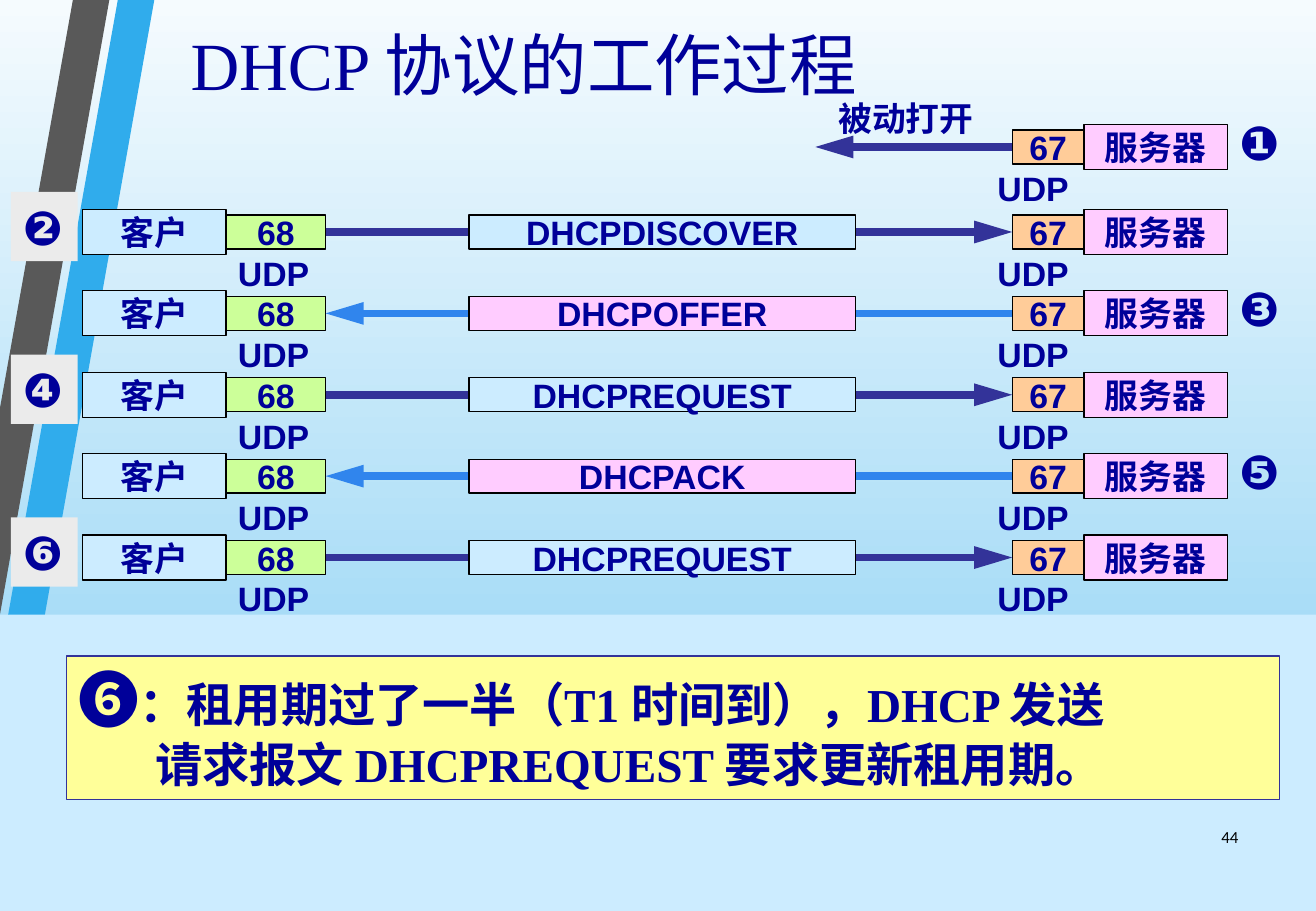
from lxml import etree
from pptx import Presentation
from pptx.dml.color import RGBColor
from pptx.enum.shapes import MSO_CONNECTOR, MSO_SHAPE
from pptx.enum.text import MSO_ANCHOR, MSO_AUTO_SIZE, PP_ALIGN
from pptx.oxml.ns import qn
from pptx.util import Inches, Pt

HUE = {
    "ink": "000099", "black": "000000", "navy": "333399", "blue": "3085ED",
    "sky": "CCECFF", "pink": "FFCCFF", "peach": "FFCC99", "lime": "CCFF99",
    "yellow": "FFFF99", "pale": "EBEBEB", "gray": "595959", "band": "30ACEC",
    "top": "F5FBFE", "low": "A2DAF6",
}
WIDE, HIGH = 10.83, 7.5
# Columns: left edge and width
COL = {
    "left": (0.09, 0.55), "client": (0.68, 1.18), "p68": (1.86, 0.82),
    "msg": (3.86, 3.18), "p67": (8.33, 0.59), "server": (8.92, 1.18),
    "right": (10.1, 0.55), "udp68": (1.86, 0.8), "udp67": (8.11, 0.8),
}
OPEN_ROW, FIRST_ROW, PITCH = 1.21, 1.91, 0.67
TALL, SLIM = 0.37, 0.28
STEPS = [
    ("❷", "DHCPDISCOVER"), ("❸", "DHCPOFFER"), ("❹", "DHCPREQUEST"),
    ("❺", "DHCPACK"), ("❻", "DHCPREQUEST"),
]
BANDS = [  # points in hundredths of an inch
    ("band", [(0, 544), (0, 575), (24, 579), (127, 0), (97, 0)]),
    ("gray", [(90, 0), (60, 0), (0, 336), (0, 506)]),
]


def rgb(name):
    return RGBColor.from_string(HUE[name])


def style(para, size, face="Arial", bold=True, hue="ink"):
    font = para.font
    font.size, font.name, font.bold = Pt(size), face, bold
    font.color.rgb = rgb(hue)


def rect(slide, x, y, w, h, fill, line=None):
    box = slide.shapes.add_shape(
        MSO_SHAPE.RECTANGLE, Inches(x), Inches(y), Inches(w), Inches(h))
    box.shadow.inherit = False
    box.fill.solid()
    box.fill.fore_color.rgb = rgb(fill)
    if line:
        box.line.color.rgb = rgb(line)
        box.line.width = Pt(0.75)
    else:
        box.line.fill.background()
    return box


def cell(slide, col, mid, h, text, fill):
    """Labelled box in a column, centred on the height mid."""
    x, w = COL[col]
    box = rect(slide, x, mid - h / 2, w, h, fill, "black")
    frame = box.text_frame
    frame.word_wrap = False
    frame.vertical_anchor = MSO_ANCHOR.MIDDLE
    para = frame.paragraphs[0]
    para.text, para.alignment = text, PP_ALIGN.CENTER
    style(para, 20)
    return box


def label(slide, x, y, w, h, text, size=20):
    box = slide.shapes.add_textbox(Inches(x), Inches(y), Inches(w), Inches(h))
    box.text_frame.word_wrap = False
    para = box.text_frame.paragraphs[0]
    para.text = text
    style(para, size)
    return box


def badge(slide, col, mid, text):
    x, w = COL[col]
    box = label(slide, x, mid - 0.33, w, 0.57, text, 28)
    if col == "left":
        box.fill.solid()
        box.fill.fore_color.rgb = rgb("pale")


def port(slide, num, mid, fill):
    x, w = COL["udp" + num]
    label(slide, x, mid + 0.12, w, 0.44, "UDP")
    return cell(slide, "p" + num, mid, SLIM, num, fill)


def server(slide, mid):
    cell(slide, "server", mid, TALL, "服务器", "pink")
    return port(slide, "67", mid, "peach")


def client(slide, mid):
    cell(slide, "client", mid, TALL, "客户", "sky")
    return port(slide, "68", mid, "lime")


def arrow(slide, mid, hue, start, end=None):
    """Arrow between (box, side) pairs; without an end it stays open."""
    wire = slide.shapes.add_connector(
        MSO_CONNECTOR.STRAIGHT, Inches(8.33), Inches(mid), Inches(6.71), Inches(mid))
    wire.begin_connect(*start)
    if end:
        wire.end_connect(*end)
    wire.line.color.rgb = rgb(hue)
    wire.line.width = Pt(4.5)
    etree.SubElement(wire.line._get_or_add_ln(), qn("a:tailEnd"),
                     type="triangle", w="med", len="lg")
    etree.SubElement(wire._element.spPr, qn("a:effectLst"))


def step(slide, i, mark, text):
    mid = FIRST_ROW + i * PITCH
    ends = [(client(slide, mid), 3), (server(slide, mid), 1)]
    if i % 2:
        side, line, fill = "right", "blue", "pink"
        ends.reverse()
    else:
        side, line, fill = "left", "navy", "sky"
    arrow(slide, mid, line, *ends)
    cell(slide, "msg", mid, SLIM, text, fill)
    badge(slide, side, mid, mark)


def backdrop(slide):
    fill = slide.background.fill
    fill.gradient()
    fill.gradient_angle = 270
    for stop, hue, pos in zip(fill.gradient_stops, ("top", "low"), (0, 0.74)):
        stop.color.rgb, stop.position = rgb(hue), pos
    for hue, points in BANDS:
        pen = slide.shapes.build_freeform(*points[0], scale=Inches(0.01))
        pen.add_line_segments(points[1:])
        band = pen.convert_to_shape()
        band.shadow.inherit = False
        band.fill.solid()
        band.fill.fore_color.rgb = rgb(hue)
        band.line.fill.background()
    rect(slide, 0, 5.06, WIDE, HIGH - 5.06, "sky")


def heading(slide):
    title = slide.shapes.title
    title.left, title.top = 0, Inches(0.21)
    title.width, title.height = Inches(8.62), Inches(0.62)
    frame = title.text_frame
    frame.auto_size = MSO_AUTO_SIZE.NONE
    frame.vertical_anchor = MSO_ANCHOR.MIDDLE
    para = frame.paragraphs[0]
    para.text, para.alignment = "DHCP 协议的工作过程", PP_ALIGN.CENTER
    style(para, 40, "Times New Roman", False)


def note(slide):
    frame = rect(slide, 0.55, 5.4, 9.98, 1.18, "yellow", "navy").text_frame
    frame.word_wrap = True
    frame.vertical_anchor = MSO_ANCHOR.TOP
    first, second = frame.paragraphs[0], frame.add_paragraph()
    mark = first.add_run()
    mark.text, mark.font.size = "❻", Pt(36)
    first.add_run().text = "：租用期过了一半（T1 时间到），DHCP 发送"
    second.text = "请求报文 DHCPREQUEST 要求更新租用期。"
    second._p.get_or_add_pPr().set("marL", str(Inches(0.63)))
    for para in frame.paragraphs:
        para.alignment = PP_ALIGN.JUSTIFY
        style(para, 28, "Times New Roman")


def number(slide):
    box = label(slide, 9.8, 6.69, 0.49, 0.4, "44")
    box.text_frame.word_wrap = True
    box.text_frame.vertical_anchor = MSO_ANCHOR.MIDDLE
    para = box.text_frame.paragraphs[0]
    para.alignment = PP_ALIGN.RIGHT
    style(para, 10, "Calibri", False, "black")


def main():
    deck = Presentation()
    deck.slide_width, deck.slide_height = Inches(WIDE), Inches(HIGH)
    slide = deck.slides.add_slide(deck.slide_layouts[5])
    backdrop(slide)
    heading(slide)
    arrow(slide, OPEN_ROW, "navy", (server(slide, OPEN_ROW), 1))
    label(slide, 6.8, 0.76, 1.32, 0.44, "被动打开")
    badge(slide, "right", OPEN_ROW, "❶")
    for i, (mark, text) in enumerate(STEPS):
        step(slide, i, mark, text)
    note(slide)
    number(slide)
    deck.save("out.pptx")


if __name__ == "__main__":
    main()
